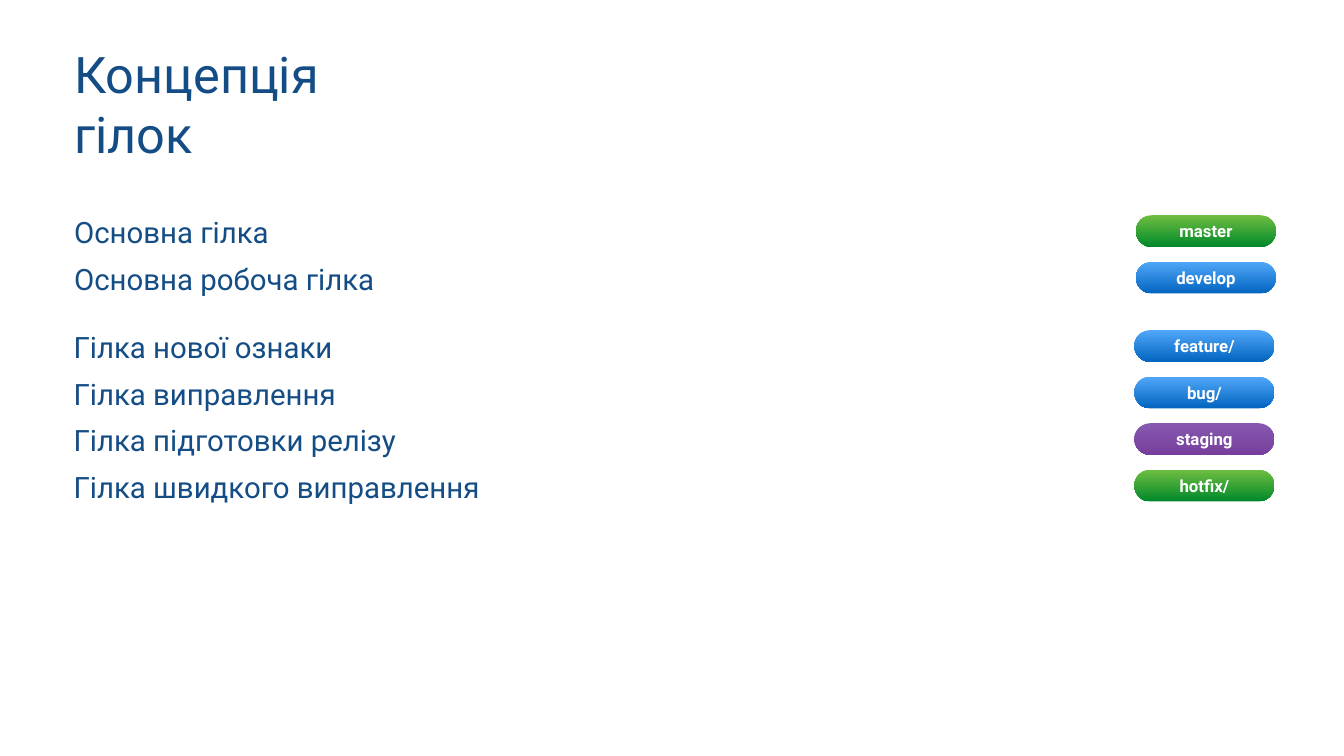
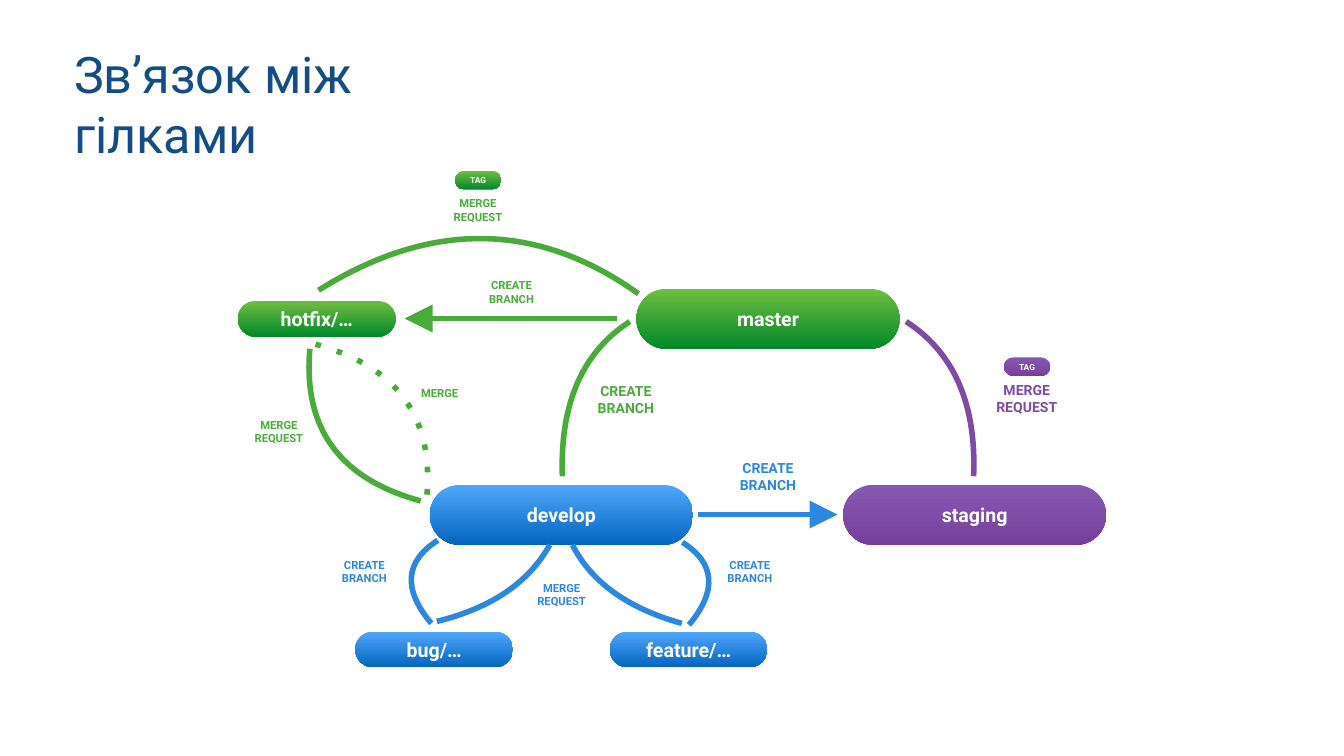
from lxml.etree import SubElement
from pptx import Presentation
from pptx.dml.color import RGBColor
from pptx.enum.shapes import MSO_CONNECTOR, MSO_SHAPE
from pptx.enum.text import MSO_ANCHOR, MSO_AUTO_SIZE, PP_ALIGN
from pptx.oxml.ns import qn
from pptx.util import Inches, Pt

FONT = "Roboto"
NAVY = RGBColor(0x14, 0x4D, 0x85)
WHITE = RGBColor(0xFF, 0xFF, 0xFF)
GREEN = RGBColor(0x49, 0xAC, 0x3A)
BLUE = RGBColor(0x2C, 0x88, 0xDF)
PURPLE = RGBColor(0x7D, 0x4A, 0xA4)
GREEN_GRADIENT = RGBColor(0x6F, 0xBE, 0x40), RGBColor(0x00, 0x88, 0x2B)
BLUE_GRADIENT = RGBColor(0x50, 0xA7, 0xF9), RGBColor(0x03, 0x65, 0xC0)
PURPLE_GRADIENT = RGBColor(0x86, 0x59, 0xB1), RGBColor(0x77, 0x3F, 0x9B)

MARGIN = 1.39
INSET = 0.08
LINE_WIDTH = 8
CURVE_STEPS = 32
ROW_PITCH = 2.77 / 3
LIST_PILL = 2.78, 0.63, 24
MAIN_PILL = 5.22, 1.19, 28
SHORT_PILL = 3.13, 0.71, 28
TAG_PILL = 0.92, 0.37, 12
LABEL_HEIGHTS = {16: 0.75, 20: 0.94}
CREATE = ["CREATE", "BRANCH"]
REQUEST = ["MERGE", "REQUEST"]

BRANCH_GROUPS = [
    (1.39, 4.17, 22.54, [
        ("Основна гілка", "master", GREEN_GRADIENT),
        ("Основна робоча гілка", "develop", BLUE_GRADIENT),
    ]),
    (1.38, 6.45, 22.51, [
        ("Гілка нової ознаки", "feature/", BLUE_GRADIENT),
        ("Гілка виправлення", "bug/", BLUE_GRADIENT),
        ("Гілка підготовки релізу", "staging", PURPLE_GRADIENT),
        ("Гілка швидкого виправлення", "hotfix/", GREEN_GRADIENT),
    ]),
]

NODES = [
    ("master", 12.63, 5.73, MAIN_PILL, GREEN_GRADIENT),
    ("develop", 8.53, 9.62, MAIN_PILL, BLUE_GRADIENT),
    ("staging", 16.73, 9.62, MAIN_PILL, PURPLE_GRADIENT),
    ("feature/…", 12.1, 12.53, SHORT_PILL, BLUE_GRADIENT),
    ("bug/…", 7.05, 12.53, SHORT_PILL, BLUE_GRADIENT),
    ("hotfix/…", 4.72, 5.97, SHORT_PILL, GREEN_GRADIENT),
    ("TAG", 19.92, 7.09, TAG_PILL, PURPLE_GRADIENT),
    ("TAG", 9.03, 3.39, TAG_PILL, GREEN_GRADIENT),
]

CURVES = [
    ([(11.16, 9.45), (11.11, 8.02), (11.55, 6.99), (12.5, 6.38)], GREEN),
    ([(19.32, 9.45), (19.38, 8.02), (18.93, 6.99), (17.98, 6.38)], PURPLE),
    ([(8.56, 12.37), (7.99, 11.69), (8.03, 11.14), (8.69, 10.72)], BLUE),
    ([(13.67, 12.4), (14.24, 11.72), (14.19, 11.17), (13.54, 10.76)], BLUE),
    ([(13.53, 12.37), (12.46, 12.07), (11.73, 11.55), (11.36, 10.81)], BLUE),
    ([(8.67, 12.33), (9.76, 12.06), (10.5, 11.55), (10.91, 10.81)], BLUE),
    ([(6.32, 5.76), (8.54, 4.37), (10.66, 4.39), (12.67, 5.83)], GREEN),
    ([(8.35, 9.94), (6.74, 9.5), (6.01, 8.5), (6.15, 6.92)], GREEN),
]
DOTTED_CURVE = [(6.26, 6.83), (7.88, 7.27), (8.61, 8.27), (8.47, 9.85)]

LABELS = [
    (CREATE, 11.63, 7.45, 1.58, 20, GREEN),
    (CREATE, 14.45, 8.99, 1.58, 20, BLUE),
    (REQUEST, 19.5, 7.43, 1.75, 20, PURPLE),
    (CREATE, 6.59, 10.96, 1.28, 16, BLUE),
    (CREATE, 14.24, 10.96, 1.28, 16, BLUE),
    (CREATE, 9.51, 5.42, 1.28, 16, GREEN),
    (REQUEST, 10.44, 11.42, 1.41, 16, BLUE),
    (REQUEST, 8.78, 3.79, 1.41, 16, GREEN),
    (REQUEST, 4.83, 8.19, 1.41, 16, GREEN),
    (["MERGE"], 8.02, 7.43, 1.41, 16, GREEN),
]


def write(sp, lines, size, color, bold=False, align=PP_ALIGN.LEFT, anchor=MSO_ANCHOR.MIDDLE):
    """Fill a shape with one formatted paragraph per line."""
    tf = sp.text_frame
    tf.word_wrap = True
    tf.auto_size = MSO_AUTO_SIZE.NONE
    tf.vertical_anchor = anchor
    tf.margin_left = tf.margin_right = tf.margin_top = tf.margin_bottom = Inches(INSET)
    for i, line in enumerate(lines):
        p = tf.add_paragraph() if i else tf.paragraphs[0]
        p.alignment = align
        r = p.add_run()
        r.text = line
        r.font.name = FONT
        r.font.size = Pt(size)
        r.font.bold = bold
        r.font.color.rgb = color


def add_titled_slide(prs, title, width):
    """Add a title-only slide with the shared title style."""
    s = prs.slides.add_slide(prs.slide_layouts[5])
    sp = s.shapes.title
    sp.left, sp.top = Inches(MARGIN), Inches(MARGIN)
    sp.width, sp.height = Inches(width), Inches(1.32)
    write(sp, [title], 72, NAVY)
    return s


def add_text(s, lines, x, y, w, h, *style, **options):
    """Add a text box."""
    sp = s.shapes.add_textbox(Inches(x), Inches(y), Inches(w), Inches(h))
    write(sp, lines, *style, **options)


def add_pill(s, name, x, y, kind, gradient):
    """Add a rounded branch badge with a vertical gradient."""
    w, h, size = kind
    sp = s.shapes.add_shape(MSO_SHAPE.ROUNDED_RECTANGLE, Inches(x), Inches(y), Inches(w), Inches(h))
    sp.adjustments[0] = 0.5
    sp.shadow.inherit = False
    sp.line.fill.background()
    sp.fill.gradient()
    sp.fill.gradient_angle = 270
    for stop, color in zip(sp.fill.gradient_stops, gradient):
        stop.color.rgb = color
    write(sp, [name], size, WHITE, bold=True, align=PP_ALIGN.CENTER)


def style_line(sp, color, tag=None, **attributes):
    """Set the line colour and width, with an optional dash or arrowhead."""
    sp.line.color.rgb = color
    sp.line.width = Pt(LINE_WIDTH)
    if tag:
        SubElement(sp._element.spPr.find(qn("a:ln")), qn(tag), **attributes)


def curve_bounds(axis):
    """Return the least and greatest value of a cubic curve along one axis."""
    a, b, c, d = axis
    steps = (i / CURVE_STEPS for i in range(CURVE_STEPS + 1))
    values = [a * (1 - t) ** 3 + 3 * b * t * (1 - t) ** 2 + 3 * c * t ** 2 * (1 - t) + d * t ** 3
              for t in steps]
    return min(values), max(values)


def add_curve(s, controls, color, *dash, **attributes):
    """Add an open cubic curve that keeps to its tight bounding box."""
    (left, right), (top, bottom) = map(curve_bounds, zip(*controls))
    builder = s.shapes.build_freeform(Inches(left), Inches(top))
    builder.add_line_segments([(Inches(right), Inches(bottom))], close=False)
    sp = builder.convert_to_shape()
    outline = sp._element.spPr.find(".//" + qn("a:path"))
    for child in list(outline):
        outline.remove(child)
    start = SubElement(outline, qn("a:moveTo"))
    bend = SubElement(outline, qn("a:cubicBezTo"))
    for i, (x, y) in enumerate(controls):
        SubElement(bend if i else start, qn("a:pt"),
                   x=str(Inches(x - left)), y=str(Inches(y - top)))
    sp.fill.background()
    sp.shadow.inherit = False
    style_line(sp, color, *dash, **attributes)


def add_arrow(s, x1, x2, y, color):
    """Add a horizontal arrow."""
    sp = s.shapes.add_connector(MSO_CONNECTOR.STRAIGHT, Inches(x1), Inches(y), Inches(x2), Inches(y))
    style_line(sp, color, "a:tailEnd", type="triangle", w="lg", len="lg")
    SubElement(sp._element.spPr, qn("a:effectLst"))


def build_concept(prs):
    """Build the list of branches with their badges."""
    s = add_titled_slide(prs, "Концепція гілок", 7.53)
    for left, top, pill_left, rows in BRANCH_GROUPS:
        for i, (text, name, gradient) in enumerate(rows):
            y = top + i * ROW_PITCH
            add_text(s, [text], left, y, 23.88, 0.83, 42, NAVY, anchor=MSO_ANCHOR.TOP)
            add_pill(s, name, pill_left, y + 0.1, LIST_PILL, gradient)


def build_relations(prs):
    """Build the diagram of links between branches."""
    s = add_titled_slide(prs, "Зв’язок між гілками", 9.56)
    for node in NODES:
        add_pill(s, *node)
    for controls, color in CURVES:
        add_curve(s, controls, color)
    add_curve(s, DOTTED_CURVE, GREEN, "a:prstDash", val="dot")
    add_arrow(s, 13.86, 16.62, 10.21, BLUE)
    add_arrow(s, 12.25, 8.03, 6.32, GREEN)
    for lines, x, y, w, size, color in LABELS:
        add_text(s, lines, x, y, w, LABEL_HEIGHTS[size], size, color,
                 bold=True, align=PP_ALIGN.CENTER)


def main():
    """Create the presentation."""
    prs = Presentation()
    prs.slide_width, prs.slide_height = Inches(26.67), Inches(15)
    build_concept(prs)
    build_relations(prs)
    prs.save("out.pptx")


if __name__ == "__main__":
    main()
